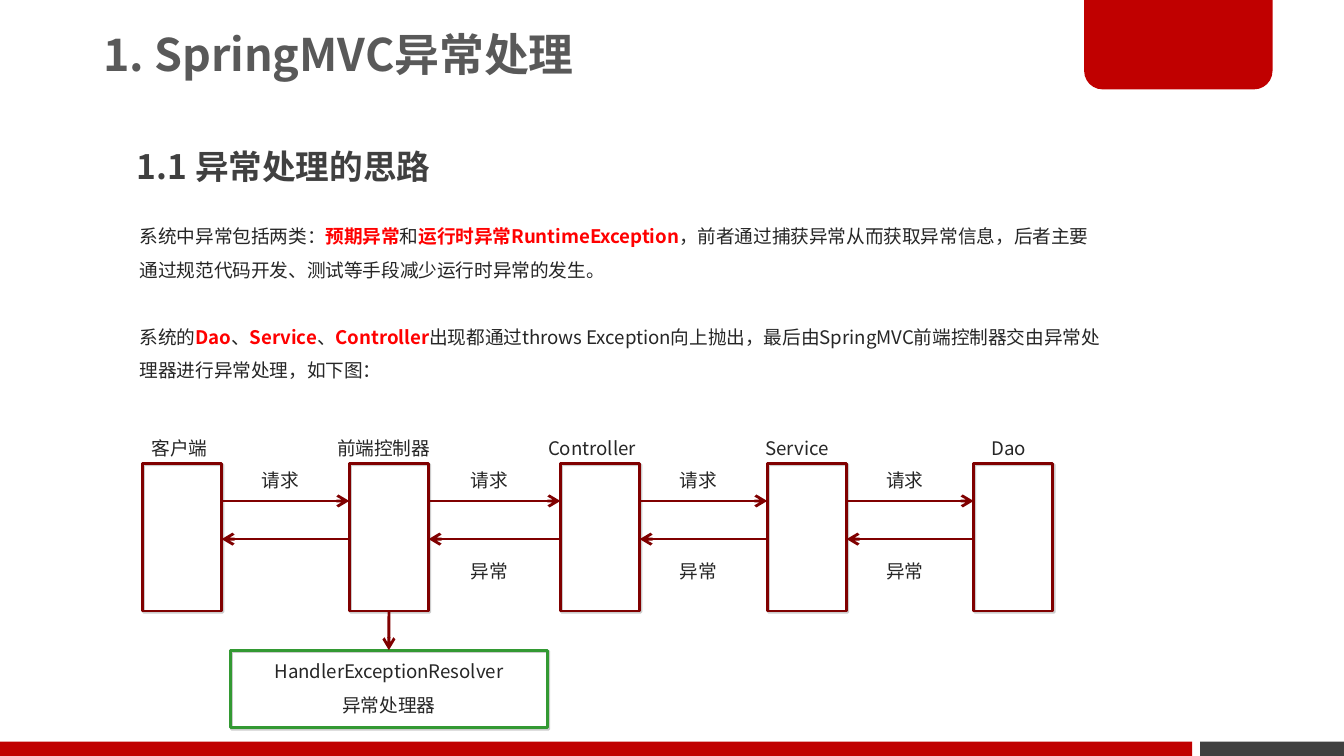
from lxml import etree
from pptx import Presentation
from pptx.dml.color import RGBColor
from pptx.enum.shapes import MSO_CONNECTOR, MSO_SHAPE
from pptx.enum.text import MSO_ANCHOR, PP_ALIGN
from pptx.oxml.ns import qn
from pptx.util import Cm, Pt

RECTANGLE = MSO_SHAPE.RECTANGLE
TAB_SHAPE = MSO_SHAPE.ROUND_2_SAME_RECTANGLE
STRAIGHT = MSO_CONNECTOR.STRAIGHT
MIDDLE = MSO_ANCHOR.MIDDLE
LEFT, CENTER = PP_ALIGN.LEFT, PP_ALIGN.CENTER

SANS, MONO = "Noto Sans CJK SC", "Courier New"
RED, DARK, TITLE_GRAY = "C00000", "404040", "595959"
BODY, HIGHLIGHT = "262626", "FF0000"
MAROON, GREEN = "800000", "339933"

# Paragraphs of (text, highlighted) runs
EXPLANATION = [
    [("系统中异常包括两类：", False), ("预期异常", True), ("和", False),
     ("运行时异常RuntimeException", True),
     ("，前者通过捕获异常从而获取异常信息，后者主要通过规范代码开发、测试等手段减少运行时异常的发生。", False)],
    [("系统的", False), ("Dao", True), ("、", False), ("Service", True), ("、", False),
     ("Controller", True),
     ("出现都通过throws Exception向上抛出，最后由SpringMVC前端控制器交由异常处理器进行异常处理，如下图：", False)],
]
# Name, font, box left and label left, both relative to the diagram
LAYERS = [
    ("客户端", MONO, 0, -0.07),
    ("前端控制器", MONO, 3.91, 3.43),
    ("Controller", SANS, 7.9, 7.42),
    ("Service", SANS, 11.81, 11.53),
    ("Dao", SANS, 15.71, 15.8),
]


def color(value):
    return RGBColor.from_string(value)


def style_run(run, size, hue, bold=False, font=SANS):
    run.font.size, run.font.bold, run.font.name = Pt(size), bold, font
    run.font.color.rgb = color(hue)
    east_asian = etree.SubElement(run.font._element, qn("a:ea"))
    east_asian.set("typeface", SANS)


def add_text_frame(slide, left, top, width, height):
    frame = slide.shapes.add_textbox(Cm(left), Cm(top), Cm(width), Cm(height)).text_frame
    frame.word_wrap = True
    return frame


def add_text(slide, left, top, width, height, text, size=10, hue=BODY, bold=False,
             font=SANS, spacing=1.5, align=LEFT):
    frame = add_text_frame(slide, left, top, width, height)
    frame.text = text
    for paragraph in frame.paragraphs:
        paragraph.line_spacing, paragraph.alignment = spacing, align
        for run in paragraph.runs:
            style_run(run, size, hue, bold, font)
    return frame


def add_block(slide, left, top, width, height, hue, kind=RECTANGLE):
    block = slide.shapes.add_shape(kind, Cm(left), Cm(top), Cm(width), Cm(height))
    block.shadow.inherit = False
    block.fill.solid()
    block.fill.fore_color.rgb = color(hue)
    block.line.fill.background()
    return block


def add_outline_box(slide, left, top, width, height, hue):
    """Unfilled box with a faint offset shadow."""
    box = slide.shapes.add_shape(RECTANGLE, Cm(left), Cm(top), Cm(width), Cm(height))
    box.fill.background()
    box.line.color.rgb = color(hue)
    box.line.width = Pt(1.5)
    box.shadow.inherit = False
    effects = box._element.spPr.find(qn("a:effectLst"))
    shadow = etree.SubElement(effects, qn("a:outerShdw"), blurRad="0",
                              dist=str(Pt(1)), dir="2700000", rotWithShape="0")
    shade = etree.SubElement(shadow, qn("a:srgbClr"), val=TITLE_GRAY)
    etree.SubElement(shade, qn("a:alpha"), val="30000")
    return box


def add_arrow(slide, x1, y1, x2, y2):
    arrow = slide.shapes.add_connector(STRAIGHT, Cm(x1), Cm(y1), Cm(x2), Cm(y2))
    arrow.line.color.rgb = color(MAROON)
    arrow.line.width = Pt(1.5)
    etree.SubElement(arrow.line._get_or_add_ln(), qn("a:tailEnd"), type="arrow")
    etree.SubElement(arrow._element.spPr, qn("a:effectLst"))
    return arrow


def add_decoration(slide, width, height):
    bar_top = height - 0.27
    add_block(slide, width - 2.72, bar_top, 2.72, 0.27, DARK)
    add_block(slide, 0, bar_top, 22.53, 0.27, RED)
    corner_tab = add_block(slide, 20.49, -0.05, 3.56, 1.74, RED, TAB_SHAPE)
    corner_tab.adjustments[0] = 0
    corner_tab.adjustments[1] = 0.2


def add_headings(slide, left, top):
    title = add_text(slide, left, top, 14.96, 2.26, "1. SpringMVC异常处理", 24,
                     TITLE_GRAY, True, spacing=0.9)
    title.vertical_anchor = MIDDLE
    title.margin_left = title.margin_right = Cm(0.2)
    title.margin_top = title.margin_bottom = Cm(0.1)
    add_text(slide, left + 0.59, top + 2.31, 9.75, 1.4, "1.1 异常处理的思路", 18, DARK, True)


def add_explanation(slide, left, top, width, height):
    frame = add_text_frame(slide, left, top, width, height)
    for index, parts in enumerate(EXPLANATION):
        paragraph = frame.add_paragraph() if index else frame.paragraphs[0]
        paragraph.line_spacing = 1.5
        if index:
            paragraph.space_before = Pt(18)
        for text, highlighted in parts:
            run = paragraph.add_run()
            run.text = text
            style_run(run, 10, HIGHLIGHT if highlighted else BODY, highlighted)


def add_call_flow(slide, left, top):
    """Layer boxes with requests going right and exceptions coming back."""
    box_width, box_height, label_width = 1.5, 2.79, 1.4
    boxes = []
    for name, font, box_left, label_left in LAYERS:
        boxes.append(add_outline_box(slide, left + box_left, top, box_width, box_height, MAROON))
        add_text(slide, left + label_left, top - 0.84, 2.79, 0.89, name, font=font)

    edges = [left + layer[2] for layer in LAYERS]
    for index, (caller, callee) in enumerate(zip(edges, edges[1:])):
        start = caller + box_width
        label_left = (start + callee - label_width) / 2
        add_arrow(slide, start, top + 0.71, callee, top + 0.71)
        add_arrow(slide, callee, top + 1.43, start, top + 1.43)
        add_text(slide, label_left, top - 0.23, label_width, 0.89, "请求", font=MONO)
        if index:
            add_text(slide, label_left, top + 1.48, label_width, 0.89, "异常", font=MONO)

    front_center = edges[1] + box_width / 2
    resolver_left, resolver_top, resolver_width = front_center - 3, top + 3.53, 6
    resolver = add_outline_box(slide, resolver_left, resolver_top, resolver_width, 1.47, GREEN)
    add_text(slide, resolver_left, resolver_top - 0.15, resolver_width, 1.52,
             "HandlerExceptionResolver\n异常处理器", align=CENTER)
    handoff = add_arrow(slide, front_center, top + box_height, front_center, resolver_top)
    handoff.begin_connect(boxes[1], 2)
    handoff.end_connect(resolver, 0)


def main():
    width, height = 25.4, 14.29
    deck = Presentation()
    deck.slide_width, deck.slide_height = Cm(width), Cm(height)
    slide = deck.slides.add_slide(deck.slide_layouts[6])
    add_decoration(slide, width, height)
    add_headings(slide, 1.75, -0.05)
    add_explanation(slide, 2.39, 3.91, 18.69, 3.43)
    add_call_flow(slide, 2.69, 8.76)
    deck.save("out.pptx")


if __name__ == "__main__":
    main()
